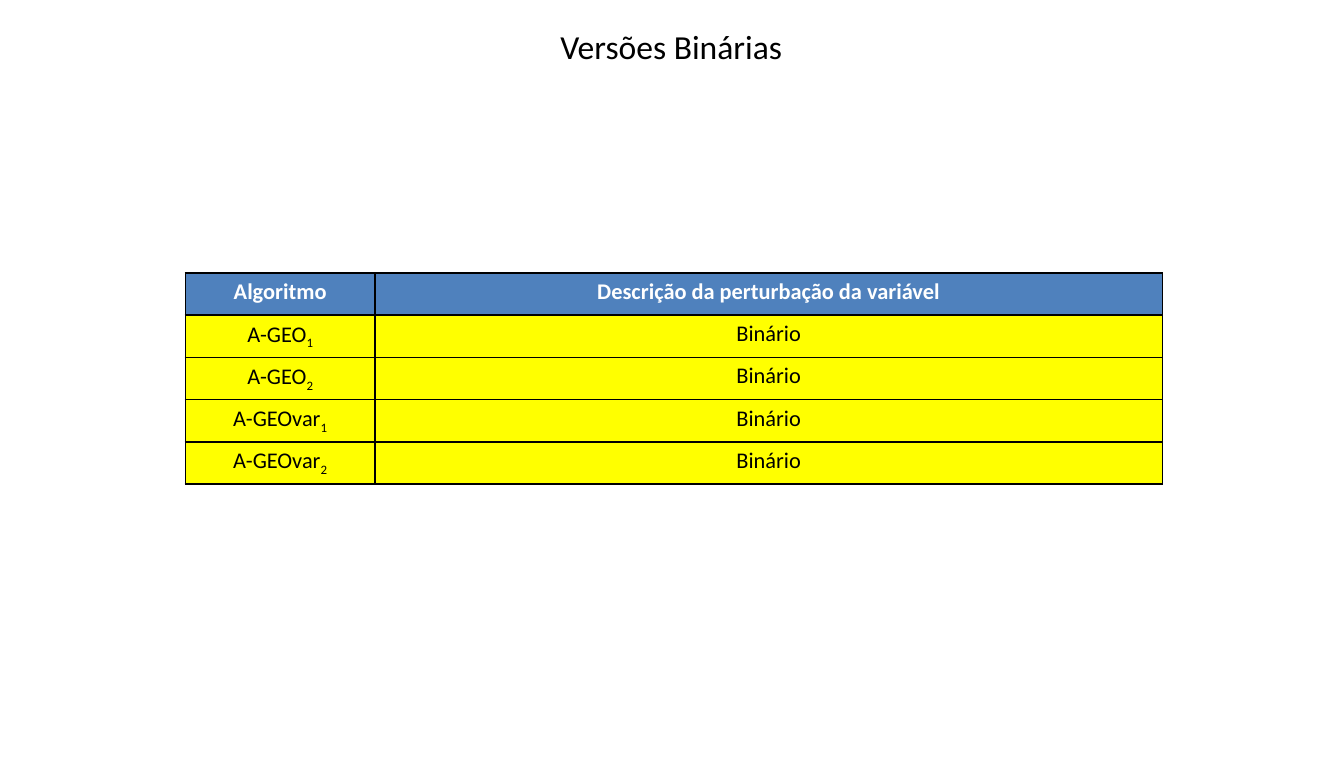
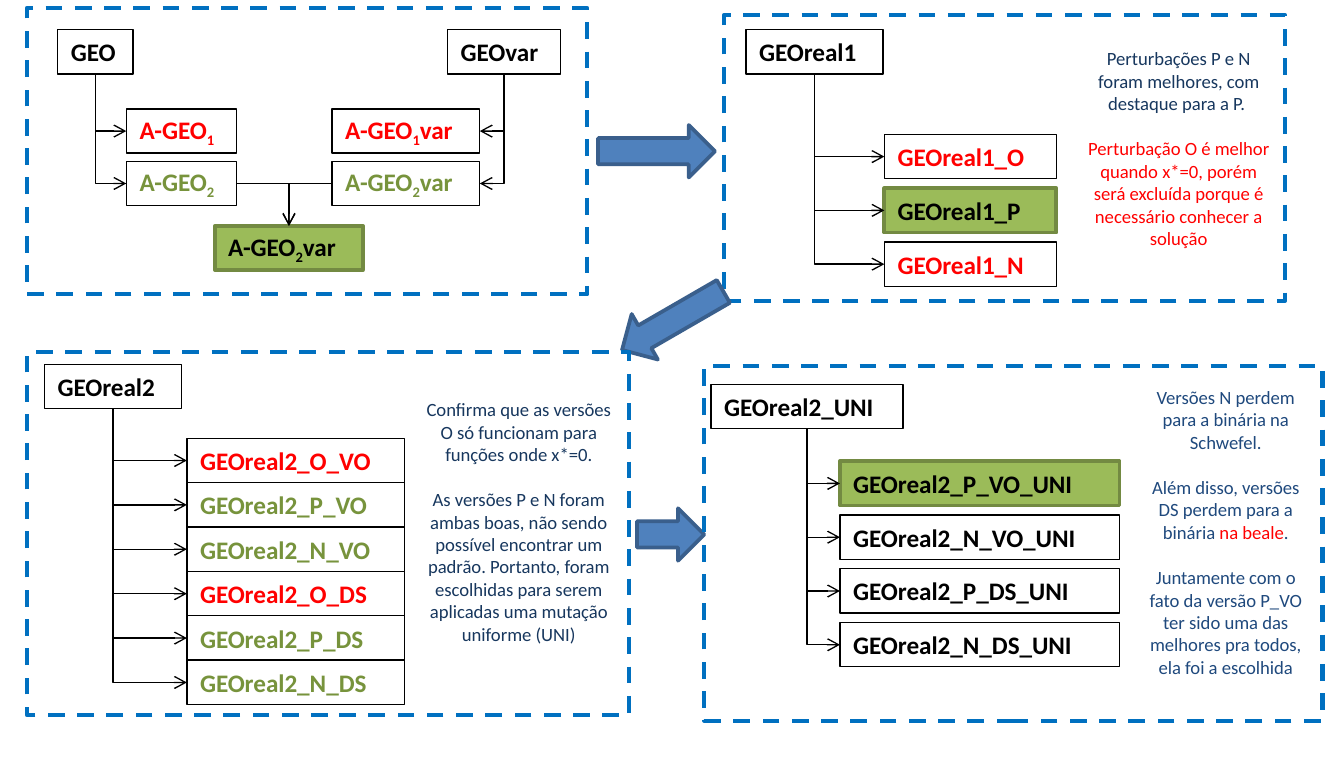
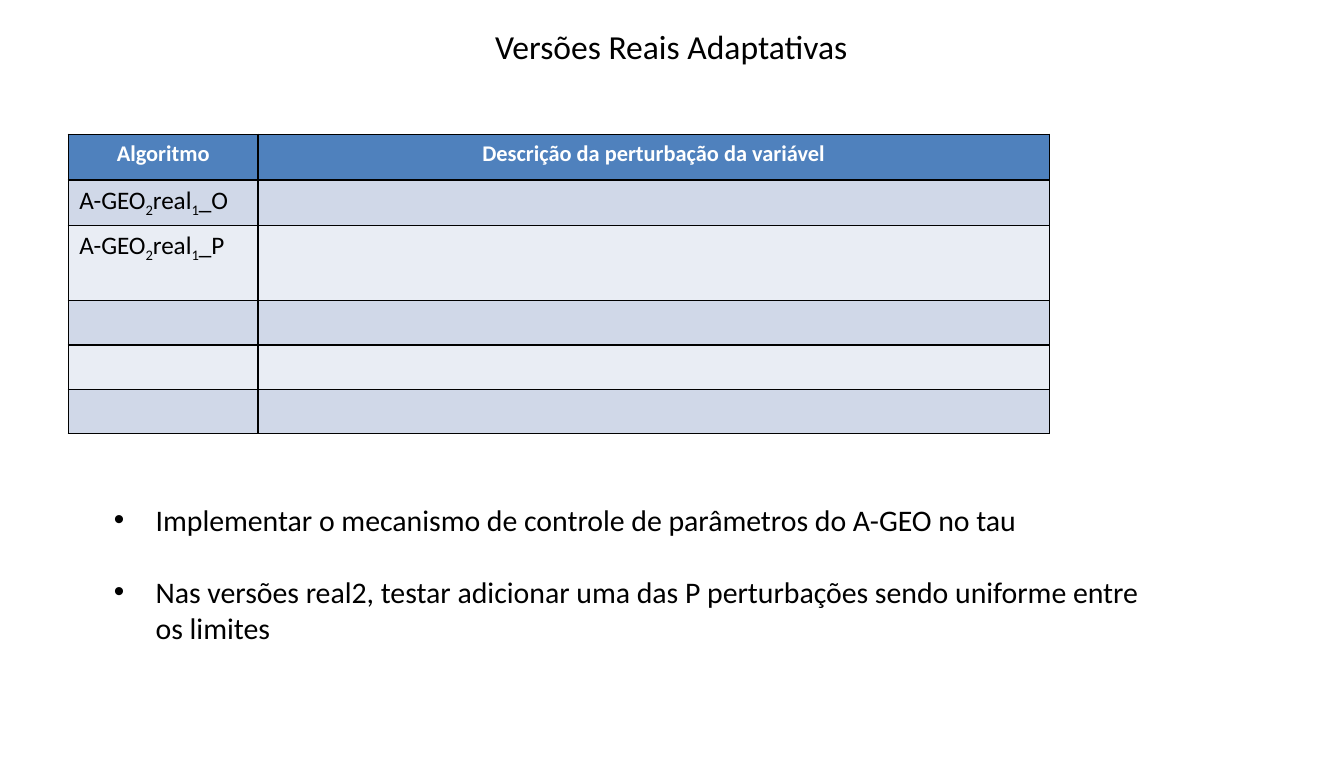
from lxml import etree
from pptx import Presentation
from pptx.dml.color import RGBColor
from pptx.enum.dml import MSO_LINE
from pptx.enum.shapes import MSO_CONNECTOR, MSO_SHAPE
from pptx.enum.text import MSO_ANCHOR, PP_ALIGN
from pptx.oxml.ns import qn
from pptx.util import Inches, Pt

LEFT, CENTER = PP_ALIGN.LEFT, PP_ALIGN.CENTER
TOP, MIDDLE = MSO_ANCHOR.TOP, MSO_ANCHOR.MIDDLE
RECT, RIGHT_ARROW = MSO_SHAPE.RECTANGLE, MSO_SHAPE.RIGHT_ARROW
ELBOW, DASH = MSO_CONNECTOR.ELBOW, MSO_LINE.DASH
SITE_TOP, SITE_LEFT, SITE_BOTTOM, SITE_RIGHT = range(4)

FONT = "Calibri"
BLACK, WHITE, RED, GREEN = "000000", "FFFFFF", "FF0000", "77933C"
BLUE, BLUE_EDGE, FRAME_BLUE = "4F81BD", "3A5F8C", "0070C0"
NAVY, SLATE, YELLOW = "17375E", "1F497D", "FFFF00"
LIME, LIME_EDGE = "9BBB59", "738A42"
BANDS = ("D0D8E8", "E9EDF4")
BOX_H = 0.33

# Content: text between bars is subscript
HEADER = ("Algoritmo", "Descrição da perturbação da variável")
BINARY_TITLE = "Versões Binárias"
BINARY_ROWS = [(name, "Binário") for name in
               ("A-GEO|1|", "A-GEO|2|", "A-GEOvar|1|", "A-GEOvar|2|")]
REAL_TITLE = "Versões Reais Adaptativas"
REAL_ROWS = [("A-GEO|2|real|1|_O", ""), ("A-GEO|2|real|1|_P", "")] + [("", "")] * 3
REAL_HEIGHTS = (0.34, 0.33, 0.56, 0.33, 0.33, 0.33)
TASKS = [
    "Implementar o mecanismo de controle de parâmetros do A-GEO no tau",
    "Nas versões real2, testar adicionar uma das P perturbações sendo "
    "uniforme entre os limites",
]

# Version trees: root is (name, left, top, width); leaves start at (left, top),
# share a width and a step, and are (name, colour) or (name, "best")
GEO = dict(root=("GEO", 0.43, 0.22, 0.56), at=(0.94, 0.81), width=0.82, step=0.39,
           leaves=[("A-GEO|1|", RED), ("A-GEO|2|", GREEN)])
GEOVAR = dict(root=("GEOvar", 3.33, 0.22, 0.84), at=(2.47, 0.81), width=1.1, step=0.39,
              leaves=[("A-GEO|1|var", RED), ("A-GEO|2|var", GREEN)], side=SITE_RIGHT)
REAL1 = dict(root=("GEOreal1", 5.55, 0.22, 1.02), at=(6.58, 1), width=1.28, step=0.4,
             leaves=[("GEOreal1_O", RED), ("GEOreal1_P", "best"), ("GEOreal1_N", RED)])
REAL2 = dict(root=("GEOreal2", 0.33, 2.71, 1.02), at=(1.39, 3.26), width=1.62, step=0.33,
             leaves=[(f"GEOreal2_{kind}_{mode}", RED if kind == "O" else GREEN)
                     for mode in ("VO", "DS") for kind in "OPN"])
UNI = dict(root=("GEOreal2_UNI", 5.29, 2.86, 1.43), at=(6.25, 3.43), width=2.08, step=0.4,
           leaves=[("GEOreal2_P_VO_UNI", "best"), ("GEOreal2_N_VO_UNI", BLACK),
                   ("GEOreal2_P_DS_UNI", BLACK), ("GEOreal2_N_DS_UNI", BLACK)])
MERGED = ("A-GEO|2|var", 1.6, 1.68, 1.1)

# Notes: a paragraph is a string or a list of (text, colour)
REAL1_NOTE = dict(at=(7.99, 0.3, 1.56, 1.61), color=NAVY, paragraphs=[
    "Perturbações P e N foram melhores, com destaque para a P. ",
    [("Perturbação O é melhor quando x*=0, porém será excluída porque é "
      "necessário conhecer a solução", RED)],
])
REAL2_NOTE = dict(at=(3.03, 2.91, 1.66, 2.29), color=NAVY, paragraphs=[
    "Confirma que as versões O só funcionam para funções onde x*=0.",
    "As versões P e N foram ambas boas, não sendo possível encontrar um padrão. "
    "Portanto, foram escolhidas para serem aplicadas uma mutação uniforme (UNI)",
])
UNI_NOTE = dict(at=(8.41, 2.82, 1.42, 2.46), color=SLATE, paragraphs=[
    "Versões N perdem para a binária na Schwefel.",
    [("Além disso, versões DS perdem para a binária", SLATE),
     (" na beale", RED), (".", SLATE)],
    "Juntamente com o fato da versão P_VO ter sido uma das melhores pra todos, "
    "ela foi a escolhida",
])

# Flow arrows: left, top, width, rotation
FLOW = [(4.45, 0.93, 0.87, 0), (4.57, 2.19, 0.87, 150), (4.74, 3.78, 0.5, 0)]


def rgb(color):
    return RGBColor.from_string(color)


def inches(*values):
    return [Inches(v) for v in values]


def write(tf, paragraphs, *, size, color=BLACK, bold=False, align=LEFT, gap=0):
    """Fill a text frame; gap is the space in points between paragraphs."""
    tf.word_wrap = True
    for i, parts in enumerate(paragraphs):
        p = tf.add_paragraph() if i else tf.paragraphs[0]
        p.alignment = align
        if i:
            p.space_before = Pt(gap)
        if not parts:
            etree.SubElement(p._p, qn("a:endParaRPr"), sz=str(int(size * 100)))
            continue
        for text, run_color in [(parts, color)] if isinstance(parts, str) else parts:
            for n, piece in enumerate(text.split("|")):
                if not piece:
                    continue
                r = p.add_run()
                r.text = piece
                r.font.name, r.font.size, r.font.bold = FONT, Pt(size), bold
                r.font.color.rgb = rgb(run_color)
                if n % 2:
                    r._r.get_or_add_rPr().set("baseline", "-25000")


def add_text(slide, at, paragraphs, **fmt):
    tf = slide.shapes.add_textbox(*inches(*at)).text_frame
    write(tf, paragraphs, **fmt)
    return tf


def add_title(slide, text):
    add_text(slide, (2.71, 0.14, 4.57, 0.4), [text], size=18, align=CENTER)


def add_shape(slide, kind, at, line, width, fill=None):
    sp = slide.shapes.add_shape(kind, *inches(*at))
    sp.shadow.inherit = False
    if fill:
        sp.fill.solid()
        sp.fill.fore_color.rgb = rgb(fill)
    else:
        sp.fill.background()
    sp.line.color.rgb = rgb(line)
    sp.line.width = Pt(width)
    return sp


def add_box(slide, name, left, top, width, look=BLACK):
    best = look == "best"
    style = (LIME_EDGE, 2, LIME) if best else (BLACK, 0.75)
    sp = add_shape(slide, RECT, (left, top, width, BOX_H), *style)
    write(sp.text_frame, [name], size=13.5, bold=True, color=BLACK if best else look)
    return sp


def add_elbow(slide, start, start_site, end, end_site):
    """One-bend arrow that leaves and enters at the given sides."""
    c = slide.shapes.add_connector(ELBOW, 0, 0, 0, 0)
    c.begin_connect(start, start_site)
    c.end_connect(end, end_site)
    spPr = c.element.spPr
    spPr.find(qn("a:prstGeom")).set("prst", "bentConnector2")
    if start_site == SITE_BOTTOM:
        # The preset runs across first, so turn it to run down first
        dx, dy = c.end_x - c.begin_x, c.end_y - c.begin_y
        mid_x, mid_y = (c.begin_x + c.end_x) // 2, (c.begin_y + c.end_y) // 2
        c.left, c.top = mid_x - dy // 2, mid_y - abs(dx) // 2
        c.width, c.height = dy, abs(dx)
        spPr.xfrm.rot = 90.0
        spPr.xfrm.flipH, spPr.xfrm.flipV = False, dx > 0
    c.line.color.rgb = rgb(BLACK)
    c.line.width = Pt(0.75)
    ln = spPr.find(qn("a:ln"))
    etree.SubElement(ln, qn("a:tailEnd"), type="arrow")
    etree.SubElement(spPr, qn("a:effectLst"))


def add_tree(slide, root, at, width, step, leaves, side=SITE_LEFT):
    left, top = at
    root_box = add_box(slide, *root)
    boxes = [add_box(slide, name, left, top + i * step, width, look)
             for i, (name, look) in enumerate(leaves)]
    for box in boxes:
        add_elbow(slide, root_box, SITE_BOTTOM, box, side)
    return boxes


def add_panel(slide, at, tree, note=None):
    add_shape(slide, RECT, at, FRAME_BLUE, 2.25).line.dash_style = DASH
    boxes = add_tree(slide, **tree)
    if note:
        add_text(slide, note["at"], note["paragraphs"], size=10,
                 color=note["color"], align=CENTER, gap=12.2)
    return boxes


def add_table(slide, left, top, widths, heights, rows, fills, size, align, name_anchor):
    frame = slide.shapes.add_table(len(rows) + 1, len(widths),
                                   *inches(left, top, sum(widths), sum(heights)))
    table = frame.table
    for column, width in zip(table.columns, widths):
        column.width = Inches(width)
    for row, height in zip(table.rows, heights):
        row.height = Inches(height)
    for i, texts in enumerate([HEADER] + rows):
        for j, text in enumerate(texts):
            cell = table.cell(i, j)
            cell.margin_left = cell.margin_right = Inches(0.08)
            cell.margin_top = cell.margin_bottom = Inches(0.04)
            cell.vertical_anchor = name_anchor if i and j == 0 else TOP
            for side in ("lnL", "lnR", "lnT", "lnB"):
                ln = etree.SubElement(cell._tc.get_or_add_tcPr(), qn(f"a:{side}"), w="12700")
                solid = etree.SubElement(ln, qn("a:solidFill"))
                etree.SubElement(solid, qn("a:srgbClr"), val=BLACK)
            cell.fill.solid()
            cell.fill.fore_color.rgb = rgb(fills[(i - 1) % len(fills)] if i else BLUE)
            if i:
                write(cell.text_frame, [text], size=size, align=align)
            else:
                write(cell.text_frame, [text], size=12, color=WHITE, bold=True, align=CENTER)


def binary_slide(slide):
    add_table(slide, 1.38, 2.03, (1.41, 5.86), [1.57 / 5] * 5, BINARY_ROWS,
              (YELLOW,), 12, CENTER, MIDDLE)
    add_title(slide, BINARY_TITLE)


def evolution_slide(slide):
    # Binary versions, whose two best meet in one
    geo = add_panel(slide, (0.2, 0.06, 4.17, 2.13), GEO)
    geovar = add_tree(slide, **GEOVAR)
    merged = add_box(slide, *MERGED, "best")
    add_elbow(slide, geo[-1], SITE_RIGHT, merged, SITE_TOP)
    add_elbow(slide, geovar[-1], SITE_LEFT, merged, SITE_TOP)
    add_panel(slide, (5.39, 0.11, 4.17, 2.13), REAL1, REAL1_NOTE)

    # Flow between panels
    for left, top, width, rotation in FLOW:
        arrow = add_shape(slide, RIGHT_ARROW, (left, top, width, 0.39), BLUE_EDGE, 2, BLUE)
        arrow.rotation = rotation

    # Second real version and its uniform variant
    add_panel(slide, (5.24, 2.72, 4.6, 2.64), UNI, UNI_NOTE)
    add_panel(slide, (0.2, 2.62, 4.48, 2.7), REAL2, REAL2_NOTE)


def real_slide(slide):
    add_table(slide, 0.51, 1, (1.41, 5.89), REAL_HEIGHTS, REAL_ROWS,
              BANDS, 13.5, LEFT, TOP)
    tf = add_text(slide, (0.75, 3.68, 8.06, 1.18), TASKS, size=16, gap=19.5)
    for p in tf.paragraphs:
        pPr = p._p.get_or_add_pPr()
        pPr.set("marL", str(Inches(0.31)))
        pPr.set("indent", str(-Inches(0.31)))
        etree.SubElement(pPr, qn("a:buFont"), typeface="Arial")
        etree.SubElement(pPr, qn("a:buChar"), char="•")
    add_title(slide, REAL_TITLE)


def main():
    prs = Presentation()
    prs.slide_width, prs.slide_height = inches(10, 5.63)
    for build in (binary_slide, evolution_slide, real_slide):
        build(prs.slides.add_slide(prs.slide_layouts[6]))
    prs.save("out.pptx")


if __name__ == "__main__":
    main()
